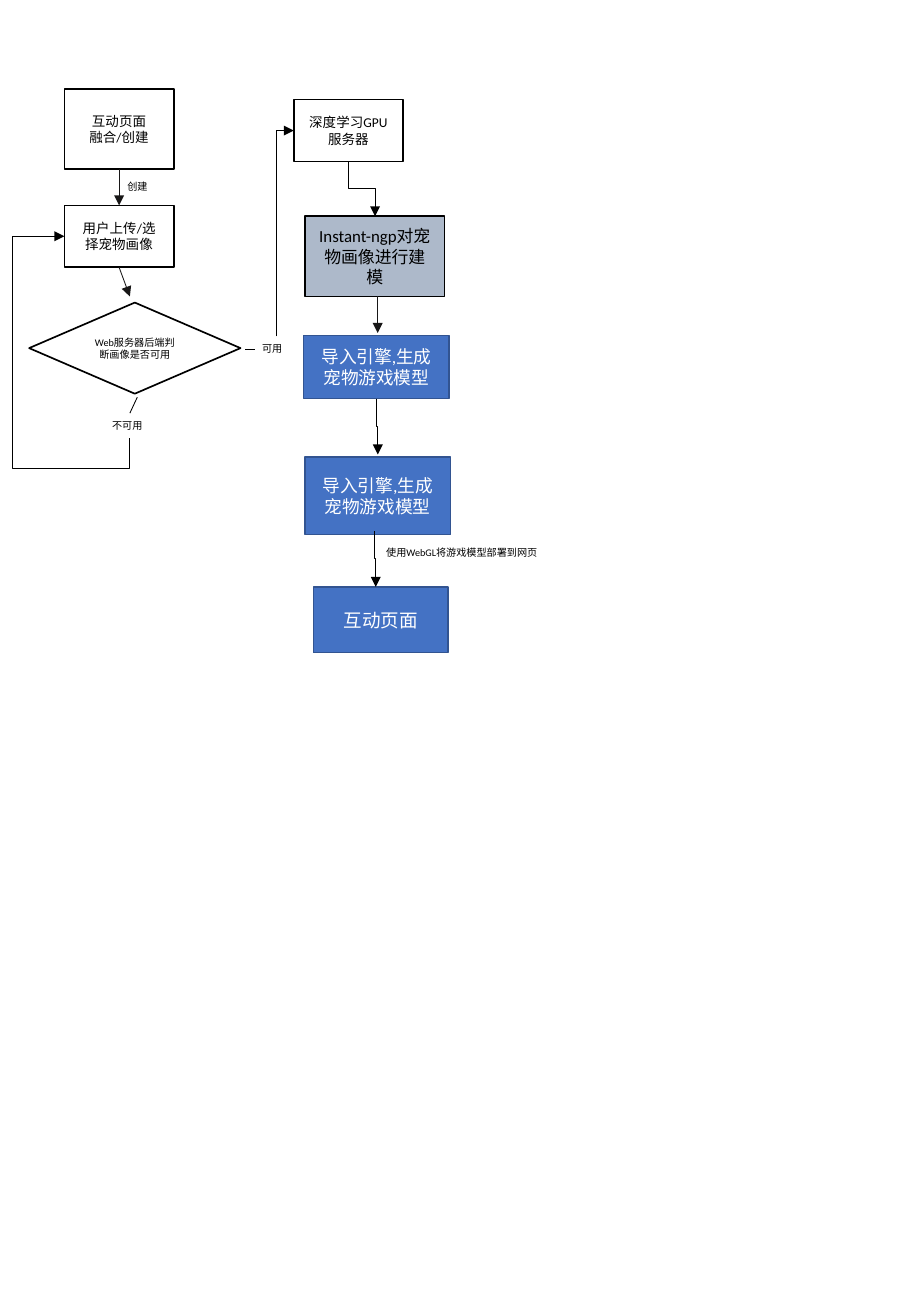
from dataclasses import dataclass

from pptx import Presentation
from pptx.dml.color import RGBColor
from pptx.enum.shapes import MSO_CONNECTOR, MSO_SHAPE
from pptx.enum.text import MSO_ANCHOR, MSO_AUTO_SIZE, PP_ALIGN
from pptx.oxml.ns import qn
from pptx.util import Pt
from lxml.etree import SubElement


@dataclass(frozen=True)
class Theme:
    """Colours, type sizes and line widths of the flowchart."""
    font: str = "Calibri"
    ink: str = "000000"
    arrow: str = "181717"
    white: str = "FFFFFF"
    grey: str = "ADB9CA"
    blue: str = "4472C4"
    blue_edge: str = "325491"
    label: float = 6
    step: float = 8
    model: float = 10
    game: float = 10.5
    final: float = 11
    outline: float = 1
    wire: float = 0.5


@dataclass(frozen=True)
class Box:
    """A rectangle in points that can place parts inside itself."""
    left: float
    top: float
    width: float
    height: float

    def inner(self, left, top, width, height):
        """Return a box offset from this one's corner."""
        return Box(self.left + left, self.top + top, width, height)

    def point(self, across, down):
        """Return a point offset from this box's corner."""
        return self.left + across, self.top + down

    def lengths(self):
        """Return the four lengths for a shape call."""
        return Pt(self.left), Pt(self.top), Pt(self.width), Pt(self.height)


THEME = Theme()


def write(frame, text, size, color, align):
    """Fill a text frame and format its runs."""
    frame.word_wrap = True
    frame.text = text
    for para in frame.paragraphs:
        para.alignment = align
        for span in para.runs:
            span.font.name = THEME.font
            span.font.size = Pt(size)
            span.font.color.rgb = RGBColor.from_string(color)


def add_step(page, box, text, size=THEME.step, kind=MSO_SHAPE.RECTANGLE,
             fill=None, edge=THEME.ink, color=THEME.ink):
    """Draw one flowchart step with centred text."""
    shape = page.shapes.add_shape(kind, *box.lengths())
    shape.shadow.inherit = False
    if fill:
        shape.fill.solid()
        shape.fill.fore_color.rgb = RGBColor.from_string(fill)
    else:
        shape.fill.background()
    shape.line.color.rgb = RGBColor.from_string(edge)
    shape.line.width = Pt(THEME.outline)
    shape.text_frame.vertical_anchor = MSO_ANCHOR.MIDDLE
    write(shape.text_frame, text, size, color, PP_ALIGN.CENTER)
    return shape


def add_game_step(page, box, text, size=THEME.game, kind=MSO_SHAPE.RECTANGLE):
    """Draw a blue step with white text."""
    return add_step(page, box, text, size, kind, THEME.blue, THEME.blue_edge, THEME.white)


def add_label(page, box, text):
    """Write a small label beside a connector."""
    label = page.shapes.add_textbox(*box.lengths())
    write(label.text_frame, text, THEME.label, THEME.ink, PP_ALIGN.LEFT)
    label.text_frame.auto_size = MSO_AUTO_SIZE.SHAPE_TO_FIT_TEXT


def add_wire(page, start, end, kind=MSO_CONNECTOR.STRAIGHT, color=THEME.ink, head=True):
    """Draw a thin connector, with an arrowhead if asked."""
    wire = page.shapes.add_connector(kind, *(Pt(length) for length in (*start, *end)))
    wire.line.color.rgb = RGBColor.from_string(color)
    wire.line.width = Pt(THEME.wire)
    if head:
        SubElement(wire.get_or_add_ln(), qn("a:tailEnd"), type="triangle")
    SubElement(wire.element.spPr, qn("a:effectLst"))
    return wire


def add_arrow(page, start, end):
    """Draw a straight arrow."""
    return add_wire(page, start, end, color=THEME.arrow)


def add_elbow(page, start, end, preset="bentConnector3", adjustments=()):
    """Draw a bent arrow that leaves its start vertically."""
    middle_x, middle_y = (start[0] + end[0]) / 2, (start[1] + end[1]) / 2
    half_run, half_rise = abs(end[1] - start[1]) / 2, abs(end[0] - start[0]) / 2
    wire = add_wire(page, (middle_x - half_run, middle_y - half_rise),
                    (middle_x + half_run, middle_y + half_rise), MSO_CONNECTOR.ELBOW)
    rising = end[1] < start[1]
    frame = wire.element.spPr.find(qn("a:xfrm"))
    frame.set("rot", str((90 if rising else 270) * 60000))
    frame.set("flipH", "1")
    if rising and end[0] > start[0]:
        frame.set("flipV", "1")
    geometry = wire.element.spPr.find(qn("a:prstGeom"))
    geometry.set("prst", preset)
    for number, share in enumerate(adjustments, 1):
        SubElement(geometry.find(qn("a:avLst")), qn("a:gd"),
                   name=f"adj{number}", fmla=f"val {round(share * 100000)}")


def upload_column(page, box):
    """Draw the upload steps and the check of the portrait."""
    entry = add_step(page, box.inner(30.2, 0, 64.8, 47.5), "互动页面\n融合/创建")
    upload = add_step(page, box.inner(30.2, 69.1, 64.8, 36.7), "用户上传/选择宠物画像")
    add_step(page, box.inner(9.3, 126.7, 125.3, 54), "Web服务器后端判断画像是否可用",
             THEME.label, MSO_SHAPE.FLOWCHART_DECISION)

    create = add_arrow(page, box.point(62.6, 47.5), box.point(62.6, 69.1))
    create.begin_connect(entry, 2)
    create.end_connect(upload, 0)
    check = add_arrow(page, box.point(62.6, 105.8), box.point(69, 123.1))
    check.begin_connect(upload, 2)
    add_wire(page, box.point(137.4, 154.4), box.point(143.2, 154.4), head=False)
    add_wire(page, box.point(73.4, 182.8), box.point(69, 192.2), head=False)
    add_elbow(page, box.point(69, 207), box.point(30.2, 87.4),
              "bentConnector4", (-0.15, 1.79))

    add_label(page, box.inner(60.4, 50.8, 38.2, 14.4), "创建")
    add_label(page, box.inner(140.3, 146.8, 38.2, 14.4), "可用")
    add_label(page, box.inner(51.4, 192.2, 40.3, 14.4), "不可用")


def model_column(page, box):
    """Draw the modelling steps down to the interactive page."""
    add_step(page, box.inner(0, 0, 64.8, 36.7), "深度学习GPU服务器")
    add_step(page, box.inner(6.5, 69.2, 82.8, 47.5), "Instant-ngp对宠物画像进行建模",
             THEME.model, fill=THEME.grey)
    for left, top, height in ((5.8, 139.7, 37.4), (6.5, 211.7, 46.1)):
        add_game_step(page, box.inner(left, top, 86.4, height), "导入引擎,生成宠物游戏模型")
    add_game_step(page, box.inner(11.6, 288.8, 79.9, 38.9), "互动页面",
                  THEME.final, MSO_SHAPE.FLOWCHART_PROCESS)

    add_elbow(page, box.point(-10.2, 140.4), box.point(0, 18.4), "bentConnector2")
    add_arrow(page, box.point(49.7, 116.7), box.point(49.7, 138.3))
    for start, end in (((32.6, 36.7), (48.1, 69.2)),
                       ((49, 177.2), (49.7, 210.3)),
                       ((47.7, 255.6), (48.6, 288.8))):
        add_elbow(page, box.point(*start), box.point(*end))

    add_label(page, box.inner(47.6, 261.4, 109.4, 14.4), "使用WebGL将游戏模型部署到网页")


def main():
    """Build the one-page flowchart and save it."""
    deck = Presentation()
    deck.slide_width, deck.slide_height = Pt(540), Pt(779.8)
    page = deck.slides.add_slide(deck.slide_layouts[6])
    upload_column(page, Box(8, 52.6, 170, 230))
    model_column(page, Box(174.2, 59, 160, 330))
    deck.save("out.pptx")


if __name__ == "__main__":
    main()
